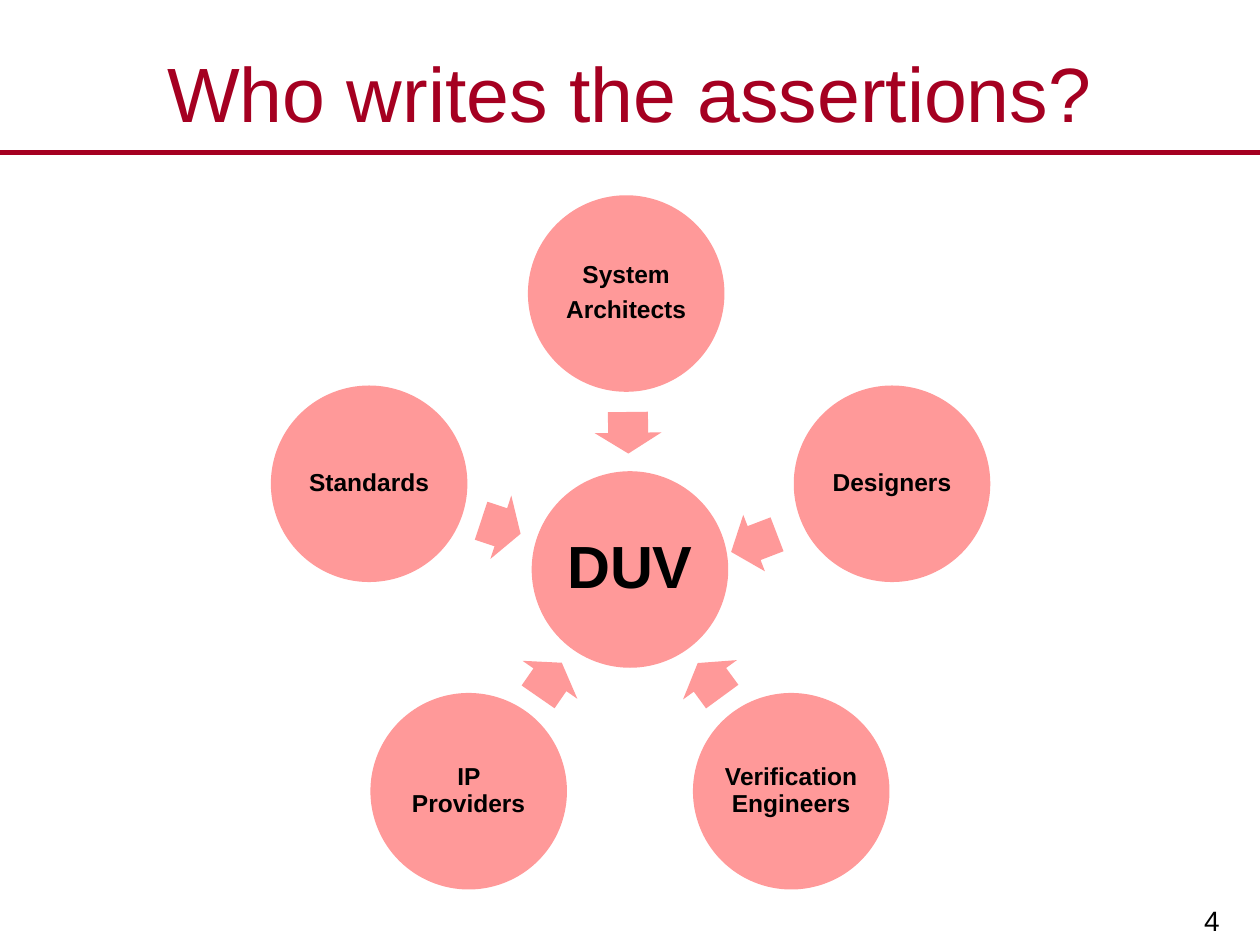
from lxml.etree import SubElement
from pptx import Presentation
from pptx.dml.color import RGBColor as Rgb
from pptx.enum.shapes import MSO_CONNECTOR as Link, MSO_SHAPE as Form
from pptx.enum.text import MSO_ANCHOR as Anchor, MSO_AUTO_SIZE as Fit, PP_ALIGN as Align
from pptx.oxml.ns import qn
from pptx.util import Inches, Pt

COLORS = {"title": "A50021", "disc": "FF9999", "text": "000000"}
FONT = "Arial"
COLS, ROWS = 100, 75
DISC = 15.6


class Page:
    """Style and current slide; lengths are columns and rows of a 100 by 75 grid."""

    def __init__(self, deck):
        self.slide = deck.slides.add_slide(deck.slide_layouts[5])
        self.col = deck.slide_width / COLS
        self.row = deck.slide_height / ROWS

    def box(self, x, y, w, h):
        return [round(n * u) for n, u in zip((x, y, w, h), (self.col, self.row) * 2)]

    def color(self, name):
        return Rgb.from_string(COLORS[name])

    def label(self, shape, text, size, color="text", bold=False, align=Align.CENTER,
              anchor=Anchor.MIDDLE, inset=(0.1, 0.05), tight=False):
        frame = shape.text_frame
        frame.text = text
        frame.word_wrap = True
        frame.auto_size = Fit.NONE
        frame.vertical_anchor = anchor
        frame.margin_left = frame.margin_right = Inches(inset[0])
        frame.margin_top = frame.margin_bottom = Inches(inset[1])
        for para in frame.paragraphs:
            para.alignment = align
            if tight:
                para.line_spacing = 0.9
                para.space_after = Pt(0.35 * size)
            for run in para.runs:
                font = run.font
                font.name, font.size, font.bold = FONT, Pt(size), bold
                font.color.rgb = self.color(color)

    def title(self, text):
        shape = self.slide.shapes.title
        shape.left, shape.top, shape.width, shape.height = self.box(0, 3, COLS, 8.6)
        self.label(shape, text, 44, "title")

    def rule(self, y):
        x, top, wide, _ = self.box(0, y, COLS, 0)
        line = self.slide.shapes.add_connector(Link.STRAIGHT, x, top, x + wide, top)
        line.line.color.rgb = self.color("title")
        line.line.width = Pt(3)
        SubElement(line._element.spPr, qn("a:effectLst"))

    def number(self, text):
        shape = self.slide.shapes.add_textbox(*self.box(78, 69.3, 19.9, 5.7))
        self.label(shape, text, 16, align=Align.RIGHT, anchor=Anchor.BOTTOM,
                   inset=(0.11, 0.06))

    def form(self, kind, *place):
        shape = self.slide.shapes.add_shape(kind, *self.box(*place))
        shape.shadow.inherit = False
        shape.fill.solid()
        shape.fill.fore_color.rgb = self.color("disc")
        shape.line.fill.background()
        return shape

    def disc(self, x, y, text, size=14, inset=0.02):
        shape = self.form(Form.OVAL, x, y, DISC, DISC)
        self.label(shape, text, size, bold=True, inset=(inset, inset), tight=True)

    def arrow(self, x, y, angle, w=3.3, h=5.3):
        shape = self.form(Form.RIGHT_ARROW, x, y, w, h)
        shape.adjustments[0], shape.adjustments[1] = 0.6, 0.5
        shape.rotation = angle


# Each author: name, place of the disc, then place, angle and size of its arrow
AUTHORS = [
    ("System\nArchitects", (41.9, 15.5), (48.2, 31.7, 89.3)),
    ("Designers", (63, 30.6), (57.9, 40.7, 159, 3.9, 4.8)),
    ("Verification Engineers", (55, 55), (54.7, 51.3, 233.8)),
    ("IP Providers", (29.4, 55), (42, 51.3, 304.7)),
    ("Standards", (21.5, 30.6), (38.1, 39.2, 18.3)),
]


def main():
    deck = Presentation()
    deck.slide_width, deck.slide_height = Inches(10), Inches(7.5)
    page = Page(deck)
    page.rule(12.1)
    page.number("4")
    page.title("Who writes the assertions?")
    page.disc(42.2, 37.4, "DUV", size=34, inset=0.05)
    for name, spot, arrow in AUTHORS:
        page.arrow(*arrow)
        page.disc(*spot, name)
    deck.save("out.pptx")


if __name__ == "__main__":
    main()
